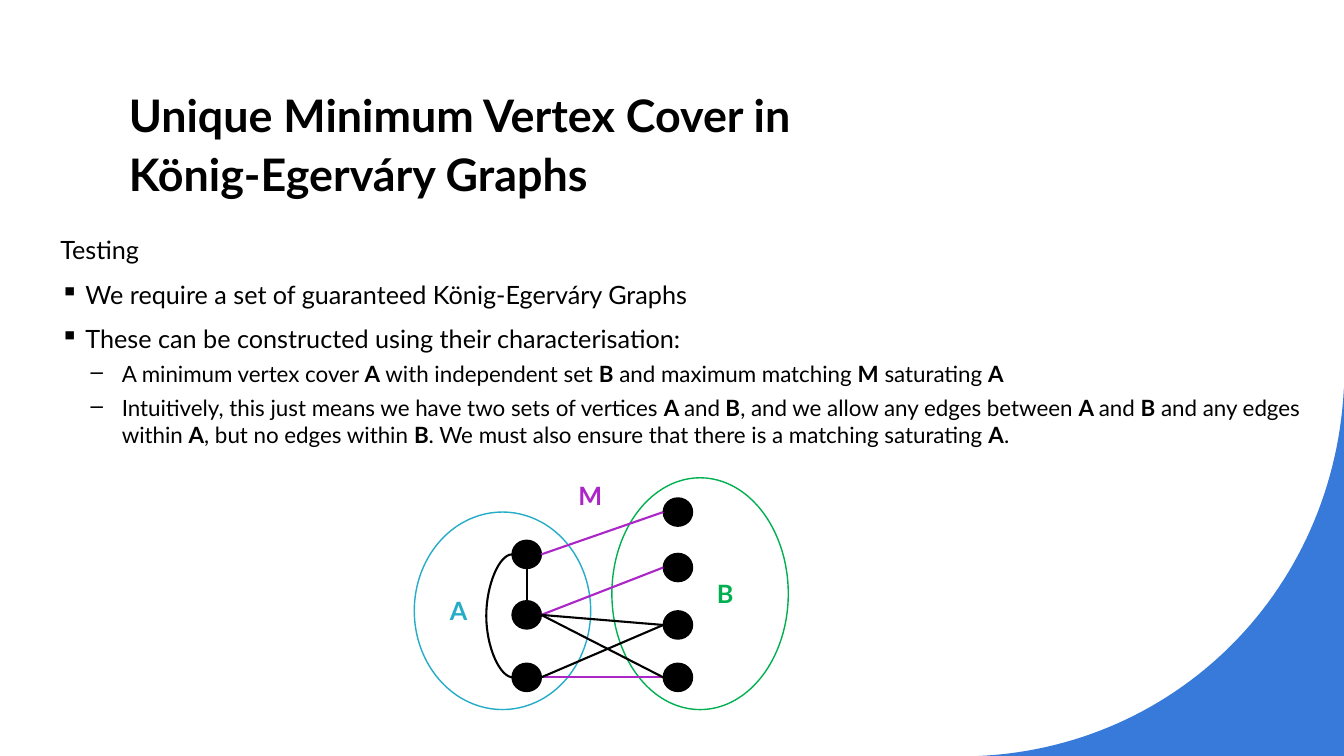
from pptx import Presentation
from pptx.dml.color import RGBColor
from pptx.enum.shapes import MSO_CONNECTOR, MSO_SHAPE
from pptx.enum.text import MSO_ANCHOR, PP_ALIGN
from pptx.oxml.ns import qn
from pptx.util import Inches, Pt
from lxml import etree

OVAL = MSO_SHAPE.OVAL
LINE, CURVE = MSO_CONNECTOR.STRAIGHT, MSO_CONNECTOR.CURVE
TOP, MID, LOW = MSO_ANCHOR.TOP, MSO_ANCHOR.MIDDLE, MSO_ANCHOR.BOTTOM
LEFT, CENTER = PP_ALIGN.LEFT, PP_ALIGN.CENTER

BLACK = RGBColor(0x00, 0x00, 0x00)
WHITE = RGBColor(0xFF, 0xFF, 0xFF)
BLUE = RGBColor(0x37, 0x7A, 0xD9)
GREEN = RGBColor(0x00, 0xB0, 0x50)
CYAN = RGBColor(0x25, 0xAC, 0xC7)
PURPLE = RGBColor(0xAC, 0x25, 0xC7)

# Grid of 0.1 inch cells
COLS, ROWS = 133.33, 75
NODE_W, NODE_H = 2.9, 2.8
A_X, B_X = 52.25, 67.25
A_ROWS = [55, 61, 67.2]
B_ROWS = [50.8, 56.3, 62, 67.2]
MATCH = [(0, 0), (1, 1), (2, 3)]
OTHER = [(2, 2), (1, 2), (1, 3)]

# Paragraph styles: size, space before, bullet, left margin, hanging indent
HEAD = (18, 10, None, 0, 0)
ITEM = (18, 10, "▪", 2.5, 2.5)
SUB = (16, 5, "–", 6.1, 3.1)

# Asterisks switch bold on and off
BODY = [
    ("Testing", HEAD),
    ("We require a set of guaranteed König-Egerváry Graphs", ITEM),
    ("These can be constructed using their characterisation:", ITEM),
    ("A minimum vertex cover *A* with independent set *B* and maximum "
     "matching *M* saturating *A*", SUB),
    ("Intuitively, this just means we have two sets of vertices *A *and* B*, "
     "and we allow any edges between *A *and *B* and any edges within *A*, "
     "but no edges within *B*. We must also ensure that there is a matching "
     "saturating *A*.", SUB),
]


def cell(n):
    return Inches(n / 10)


def put(obj, **form):
    for key, val in form.items():
        setattr(obj, key, val)


def write(par, text, size, color=BLACK):
    for i, part in enumerate(text.split("*")):
        if part:
            run = par.add_run()
            run.text = part
            put(run.font, name="Lato", size=Pt(size), bold=i % 2 == 1)
            run.font.color.rgb = color


def indent(par, left, hang=0, mark=None):
    props = par._p.get_or_add_pPr()
    props.set("marL", str(cell(left)))
    props.set("indent", str(-cell(hang)))
    if mark:
        etree.SubElement(props, qn("a:buChar")).set("char", mark)


def add_box(slide, box, anchor=TOP):
    frame = slide.shapes.add_textbox(*map(cell, box)).text_frame
    put(frame, word_wrap=True, vertical_anchor=anchor)
    return frame


def add_oval(slide, box, fill, line):
    oval = slide.shapes.add_shape(OVAL, *map(cell, box))
    oval.shadow.inherit = False
    oval.fill.solid()
    oval.fill.fore_color.rgb = fill
    oval.line.color.rgb = line
    oval.line.width = Pt(1)
    return oval


def add_set(slide, box, name, color, align, left):
    frame = add_oval(slide, box, WHITE, color).text_frame
    frame.vertical_anchor = MID
    par = frame.paragraphs[0]
    par.alignment = align
    indent(par, left)
    write(par, f"*{name}*", 18, color)


def add_edge(slide, x1, y1, x2, y2, color=BLACK, kind=LINE):
    edge = slide.shapes.add_connector(kind, *map(cell, (x1, y1, x2, y2)))
    edge.line.color.rgb = color
    edge.line.width = Pt(1.5)
    etree.SubElement(edge._element.spPr, qn("a:effectLst"))
    return edge


def add_corner(slide):
    # Cubic curve along the bottom right corner
    ends = [(97.1, ROWS), (116.7, 74.1), (132.3, 58.7), (COLS, 38.5)]
    steps = 60
    dots = []
    for i in range(steps + 1):
        t = i / steps
        parts = ((1 - t) ** 3, 3 * t * (1 - t) ** 2, 3 * t * t * (1 - t), t ** 3)
        dots.append([cell(sum(k * end[axis] for k, end in zip(parts, ends)))
                     for axis in (0, 1)])
    form = slide.shapes.build_freeform(*dots[0])
    form.add_line_segments(dots[1:] + [(cell(COLS), cell(ROWS))], close=True)
    corner = form.convert_to_shape()
    corner.shadow.inherit = False
    corner.fill.solid()
    corner.fill.fore_color.rgb = BLUE
    corner.line.fill.background()


def add_title(slide):
    par = add_box(slide, (11.8, 7.9, 80, 12.5), LOW).paragraphs[0]
    par.line_spacing = 1.1
    write(par, "*Unique Minimum Vertex Cover in König-Egerváry Graphs*", 32)


def add_body(slide):
    frame = add_box(slide, (5, 22.8, 127.3, 48.8))
    for i, (text, (size, gap, mark, left, hang)) in enumerate(BODY):
        par = frame.add_paragraph() if i else frame.paragraphs[0]
        put(par, space_before=Pt(gap), level=int(size == 16))
        indent(par, left, hang, mark)
        write(par, text, size)


def add_graph(slide):
    # Vertex sets
    add_set(slide, (60.7, 47.4, 17.5, 23), "B", GREEN, CENTER, 5)
    add_set(slide, (41.1, 50.8, 17.5, 19.6), "A", CYAN, LEFT, 0)
    for x, rows in ((A_X, A_ROWS), (B_X, B_ROWS)):
        for y in rows:
            box = (x - NODE_W / 2, y - NODE_H / 2, NODE_W, NODE_H)
            add_oval(slide, box, BLACK, BLACK)
    # Edges between the sets
    for pairs, color in ((MATCH, PURPLE), (OTHER, BLACK)):
        for a, b in pairs:
            add_edge(slide, A_X + NODE_W / 2, A_ROWS[a],
                     B_X - NODE_W / 2, B_ROWS[b], color)
    # Edges within A
    side = A_X - NODE_W / 2
    bend = add_edge(slide, side, A_ROWS[0], side + 0.1, A_ROWS[2], kind=CURVE)
    guides = bend._element.spPr.find(qn("a:prstGeom")).get_or_add_avLst()
    guide = etree.SubElement(guides, qn("a:gd"))
    guide.set("name", "adj1")
    guide.set("fmla", "val -2600000")
    add_edge(slide, A_X, A_ROWS[0] + NODE_H / 2, A_X, A_ROWS[1] - NODE_H / 2)
    # Matching label
    par = add_box(slide, (56.4, 47.2, 6.9, 5.7)).paragraphs[0]
    write(par, "*M*", 18, PURPLE)


def main():
    deck = Presentation()
    put(deck, slide_width=cell(COLS), slide_height=cell(ROWS))
    slide = deck.slides.add_slide(deck.slide_layouts[6])
    add_corner(slide)
    add_title(slide)
    add_body(slide)
    add_graph(slide)
    deck.save("out.pptx")


if __name__ == "__main__":
    main()
